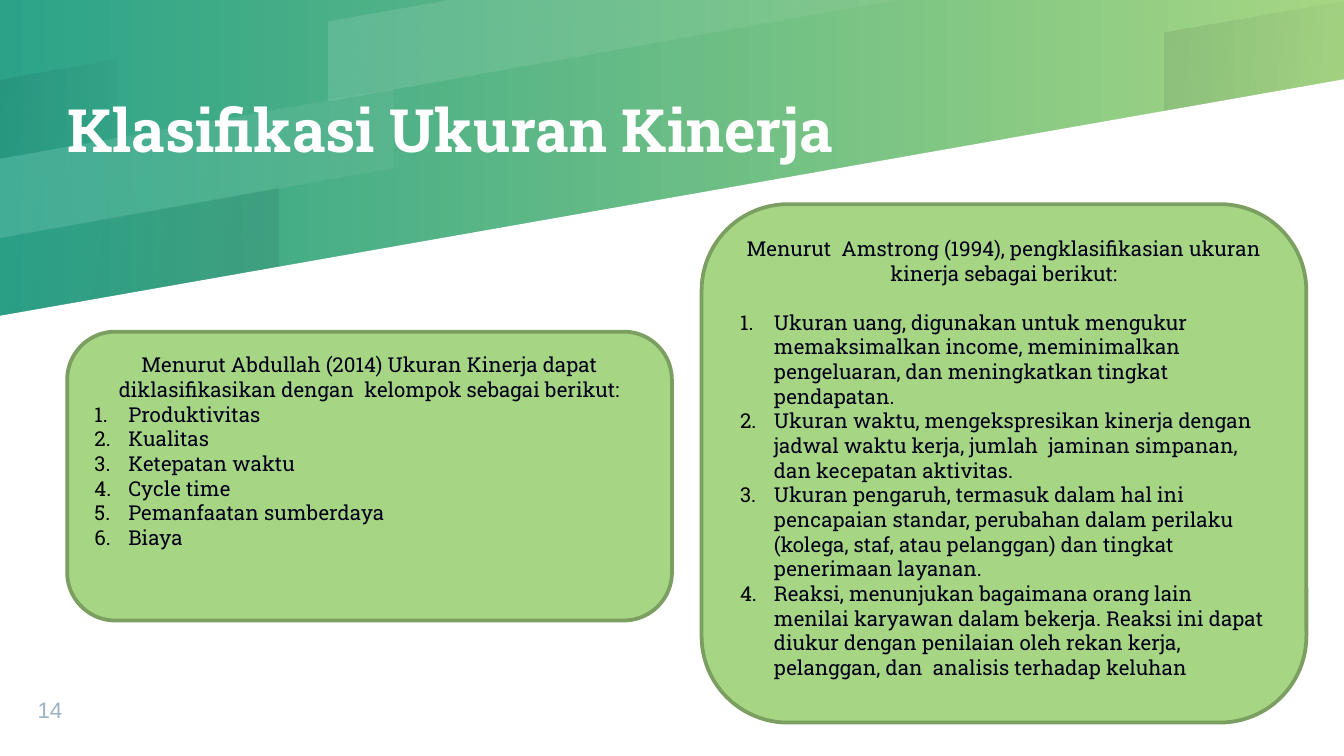
import pptx
import pptx.dml.color
import pptx.enum.shapes
import pptx.enum.text
import pptx.oxml
import pptx.oxml.ns
import pptx.util
from lxml import etree
from pptx.util import Cm

WIDTH, HEIGHT = 25.4, 14.29
SLAB = "Roboto Slab"
GREEN, BORDER, INK, WHITE = "A6D683", "7B9E61", "00001A", "FFFFFF"

# The header's lower edge is a slanted line; the bands are parallel to it.
EDGE_LEFT, SLOPE, BAND_HEIGHT = 5.97, 0.176, 1.49

# Left, right, steps above the header edge, colour, start and end opacity (%)
BANDS = [
    (6.2, 16.95, 2, WHITE, 12, 5),
    (0, 2.21, 2, INK, 8, 2),
    (0, 5.26, 0, INK, 2, 8),
    (22, WIDTH, 0, INK, 8, 2),
    (0, 7.44, 1, WHITE, 12, 5),
]

ABDULLAH = "Menurut Abdullah (2014) Ukuran Kinerja dapat diklasifikasikan dengan  kelompok sebagai berikut:"
ABDULLAH_ITEMS = [
    "Produktivitas",
    "Kualitas",
    "Ketepatan waktu",
    "Cycle time",
    "Pemanfaatan sumberdaya",
    "Biaya",
]
AMSTRONG = "Menurut  Amstrong (1994), pengklasifikasian ukuran kinerja sebagai berikut:"
AMSTRONG_ITEMS = [
    "Ukuran uang, digunakan untuk mengukur memaksimalkan income, meminimalkan pengeluaran, "
    "dan meningkatkan tingkat pendapatan.",
    "Ukuran waktu, mengekspresikan kinerja dengan jadwal waktu kerja, jumlah  jaminan simpanan, "
    "dan kecepatan aktivitas.",
    "Ukuran pengaruh, termasuk dalam hal ini pencapaian standar, perubahan dalam perilaku "
    "(kolega, staf, atau pelanggan) dan tingkat penerimaan layanan.",
    "Reaksi, menunjukan bagaimana orang lain menilai karyawan dalam bekerja. Reaksi ini dapat "
    "diukur dengan penilaian oleh rekan kerja, pelanggan, dan  analisis terhadap keluhan",
]


def color(value):
    return pptx.dml.color.RGBColor.from_string(value)


def set_gradient(fill, colors, angle, opacities=(100, 100)):
    fill.gradient()
    fill.gradient_angle = angle
    for stop, value, opacity in zip(fill.gradient_stops, colors, opacities):
        stop.color.rgb = color(value)
    # Opacity of each stop
    if min(opacities) < 100:
        stops = fill._fill._gradFill.iter(pptx.oxml.ns.qn("a:srgbClr"))
        for element, opacity in zip(stops, opacities):
            etree.SubElement(element, pptx.oxml.ns.qn("a:alpha"), val=str(opacity * 1000))


def add_outline(slide, points):
    corners = [(Cm(x), Cm(y)) for x, y in points]
    builder = slide.shapes.build_freeform(*corners[0])
    builder.add_line_segments(corners[1:], close=True)
    shape = builder.convert_to_shape()
    shape.shadow.inherit = False
    shape.line.fill.background()
    return shape


def edge(x, step=0):
    return max(0, EDGE_LEFT - SLOPE * x - step * BAND_HEIGHT)


def add_band(slide, left, right, step, value, start, end):
    # The upper edge stops where it meets the top of the slide
    top_right = min(right, (EDGE_LEFT - (step + 1) * BAND_HEIGHT) / SLOPE)
    shape = add_outline(slide, [
        (left, edge(left, step + 1)),
        (left, edge(left, step)),
        (right, edge(right, step)),
        (right, edge(right, step + 1)),
        (top_right, edge(top_right, step + 1)),
    ])
    set_gradient(shape.fill, (value, value), 350, (start, end))


def format_font(paragraph, size, value, name=SLAB, bold=False):
    for run in paragraph.runs:
        run.font.size = pptx.util.Pt(size)
        run.font.name = name
        run.font.bold = bold
        run.font.color.rgb = color(value)


def add_text(slide, text, left, top, width, height, anchor, **font):
    box = slide.shapes.add_textbox(Cm(left), Cm(top), Cm(width), Cm(height))
    frame = box.text_frame
    frame.word_wrap = True
    frame.vertical_anchor = anchor
    frame.margin_left = frame.margin_right = frame.margin_top = frame.margin_bottom = 0
    frame.text = text
    format_font(frame.paragraphs[0], **font)
    return frame.paragraphs[0]


def add_text_shadow(run):
    run.font._element.find(pptx.oxml.ns.qn("a:solidFill")).addnext(pptx.oxml.parse_xml(
        f'<a:effectLst {pptx.oxml.ns.nsdecls("a")}>'
        '<a:outerShdw blurRad="38100" dist="38100" dir="2700000">'
        '<a:srgbClr val="000000"><a:alpha val="43000"/></a:srgbClr>'
        '</a:outerShdw></a:effectLst>'))


def number_paragraph(paragraph):
    properties = paragraph._p.get_or_add_pPr()
    properties.set("marL", str(Cm(0.64)))
    properties.set("indent", str(-Cm(0.64)))
    bullet_color = etree.SubElement(properties, pptx.oxml.ns.qn("a:buClr"))
    etree.SubElement(bullet_color, pptx.oxml.ns.qn("a:srgbClr"), val="000000")
    etree.SubElement(properties, pptx.oxml.ns.qn("a:buFont"), typeface="+mj-lt")
    etree.SubElement(properties, pptx.oxml.ns.qn("a:buAutoNum"), type="arabicPeriod")


def add_panel(slide, left, top, height, heading, items, gap=0):
    shape = slide.shapes.add_shape(
        pptx.enum.shapes.MSO_SHAPE.ROUNDED_RECTANGLE, Cm(left), Cm(top), Cm(11.43), Cm(height))
    shape.shadow.inherit = False
    shape.fill.solid()
    shape.fill.fore_color.rgb = color(GREEN)
    shape.line.color.rgb = color(BORDER)
    shape.line.width = pptx.util.Pt(2)
    frame = shape.text_frame
    frame.word_wrap = True
    frame.vertical_anchor = pptx.enum.text.MSO_ANCHOR.TOP
    frame.text = "\n".join([heading, *items])
    title, *entries = frame.paragraphs
    title.alignment = pptx.enum.text.PP_ALIGN.CENTER
    title.space_after = pptx.util.Pt(gap)
    for paragraph in entries:
        paragraph.alignment = pptx.enum.text.PP_ALIGN.LEFT
        number_paragraph(paragraph)
    for paragraph in frame.paragraphs:
        format_font(paragraph, 11, INK)


def main():
    presentation = pptx.Presentation()
    presentation.slide_width, presentation.slide_height = Cm(WIDTH), Cm(HEIGHT)
    slide = presentation.slides.add_slide(presentation.slide_layouts[6])

    # Gradient header above a white page
    set_gradient(slide.background.fill, ("2CA388", GREEN), 0)
    page = add_outline(slide, [(0, HEIGHT), (WIDTH, HEIGHT), (WIDTH, edge(WIDTH)), (0, edge(0))])
    page.fill.solid()
    page.fill.fore_color.rgb = color(WHITE)
    for band in BANDS:
        add_band(slide, *band)

    # Title and page number
    anchors = pptx.enum.text.MSO_ANCHOR
    title = add_text(slide, "Klasifikasi Ukuran Kinerja", 1.27, 0, 15.24, 5.03,
                     anchors.MIDDLE, size=32, value=WHITE, bold=True)
    title.line_spacing = 0.9
    add_text_shadow(title.runs[0])
    add_text(slide, "14", 0.71, 12.98, 1.35, 0.69, anchors.BOTTOM,
             size=12, value="9EB3C2", name="Arial")

    # Classification panels
    add_panel(slide, 1.27, 6.27, 5.46, ABDULLAH, ABDULLAH_ITEMS)
    add_panel(slide, 13.26, 3.86, 9.8, AMSTRONG, AMSTRONG_ITEMS, gap=13)

    presentation.save("out.pptx")


if __name__ == "__main__":
    main()
